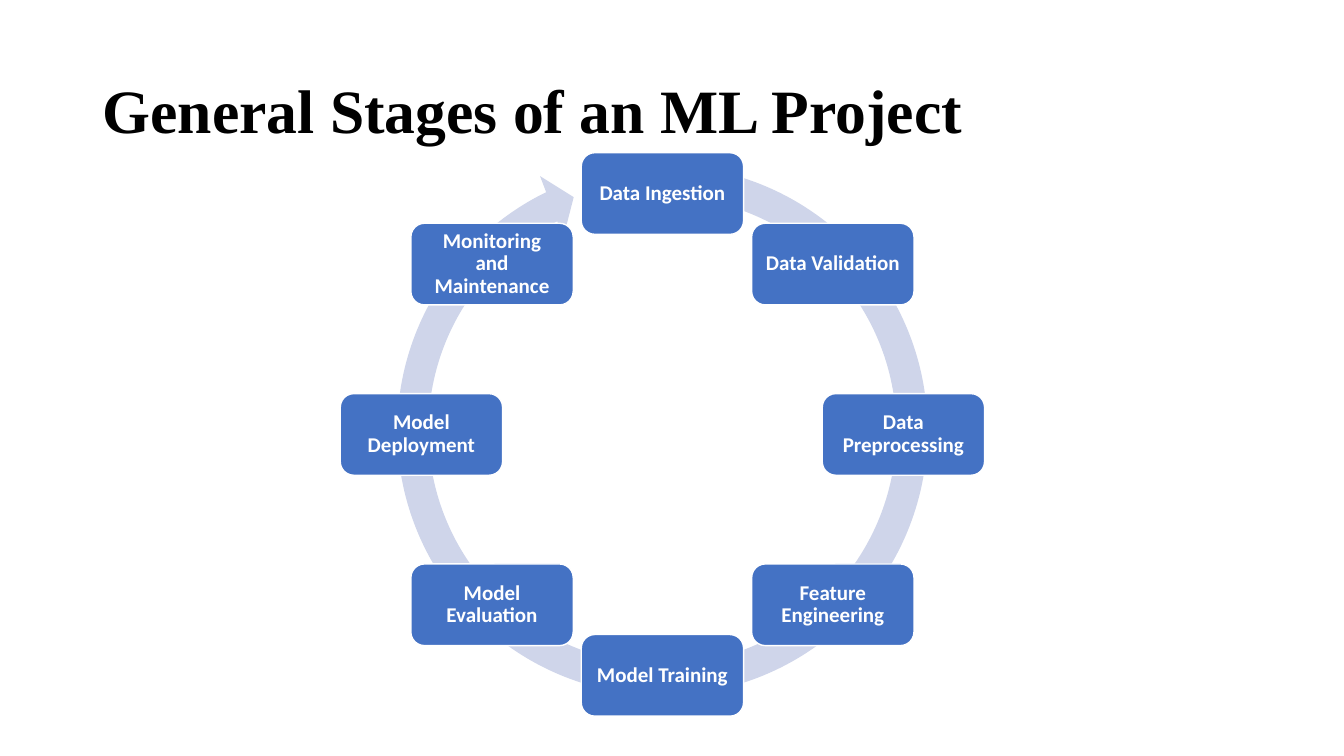
from dataclasses import dataclass
from math import cos, radians, sin

from pptx import Presentation
from pptx.dml.color import RGBColor
from pptx.enum.shapes import MSO_SHAPE
from pptx.enum.text import MSO_ANCHOR, PP_ALIGN
from pptx.util import Inches, Pt


@dataclass(frozen=True)
class Theme:
    title_font: str = "Times New Roman"
    body_font: str = "Calibri"
    title_size: float = 44
    stage_size: float = 15
    title_color: str = "000000"
    stage_color: str = "4472C4"
    ring_color: str = "CFD5EA"
    white: str = "FFFFFF"


STAGES = [
    "Data Ingestion",
    "Data Validation",
    "Data Preprocessing",
    "Feature Engineering",
    "Model Training",
    "Model Evaluation",
    "Model Deployment",
    "Monitoring and Maintenance",
]
CENTER_X, CENTER_Y, RADIUS = 6.57, 4.31, 2.39
STAGE_WIDTH, STAGE_HEIGHT = 1.61, 0.81
RING_SIZE = 5.6
RING_ADJUSTMENTS = (0.055, 3.307, 146.205, 168.905, 0.058)


class CycleSlide:
    def __init__(self, presentation, theme):
        self.theme = theme
        self.slide = presentation.slides.add_slide(presentation.slide_layouts[6])

    def set_text(self, shape, text, alignment, font_name, size, color):
        frame = shape.text_frame
        frame_format = {
            "word_wrap": True,
            "vertical_anchor": MSO_ANCHOR.MIDDLE,
            "margin_left": Inches(0.1),
            "margin_right": Inches(0.1),
        }
        for name, value in frame_format.items():
            setattr(frame, name, value)
        paragraph = frame.paragraphs[0]
        paragraph.alignment = alignment
        paragraph.line_spacing = 0.9
        run = paragraph.add_run()
        run.text = text
        font_format = {"name": font_name, "size": Pt(size), "bold": True}
        for name, value in font_format.items():
            setattr(run.font, name, value)
        run.font.color.rgb = RGBColor.from_string(color)

    def add_title(self, text, left, top, width, height):
        box = self.slide.shapes.add_textbox(
            Inches(left), Inches(top), Inches(width), Inches(height))
        self.set_text(box, text, PP_ALIGN.LEFT, self.theme.title_font,
                      self.theme.title_size, self.theme.title_color)

    def add_centered_shape(self, kind, x, y, width, height, color):
        shape = self.slide.shapes.add_shape(
            kind, Inches(x - width / 2), Inches(y - height / 2),
            Inches(width), Inches(height))
        shape.shadow.inherit = False
        shape.fill.solid()
        shape.fill.fore_color.rgb = RGBColor.from_string(color)
        return shape

    def add_ring(self, x, y, size):
        ring = self.add_centered_shape(
            MSO_SHAPE.CIRCULAR_ARROW, x, y, size, size, self.theme.ring_color)
        ring.line.fill.background()
        for index, value in enumerate(RING_ADJUSTMENTS):
            ring.adjustments[index] = value

    def add_stage(self, text, x, y):
        stage = self.add_centered_shape(
            MSO_SHAPE.ROUNDED_RECTANGLE, x, y, STAGE_WIDTH, STAGE_HEIGHT,
            self.theme.stage_color)
        stage.line.color.rgb = RGBColor.from_string(self.theme.white)
        stage.line.width = Pt(1)
        self.set_text(stage, text, PP_ALIGN.CENTER, self.theme.body_font,
                      self.theme.stage_size, self.theme.white)


def main():
    presentation = Presentation()
    presentation.slide_width = Inches(13.33)
    presentation.slide_height = Inches(7.5)
    cycle = CycleSlide(presentation, Theme())

    # Title
    cycle.add_title("General Stages of an ML Project", 0.92, 0.4, 11.5, 1.45)

    # Ring arrow behind the stages
    cycle.add_ring(CENTER_X, CENTER_Y - 0.04, RING_SIZE)

    # Stages, clockwise from the top
    for index, stage in enumerate(STAGES):
        angle = radians(360 / len(STAGES) * index - 90)
        cycle.add_stage(stage, CENTER_X + RADIUS * cos(angle),
                        CENTER_Y + RADIUS * sin(angle))

    presentation.save("out.pptx")


if __name__ == "__main__":
    main()
